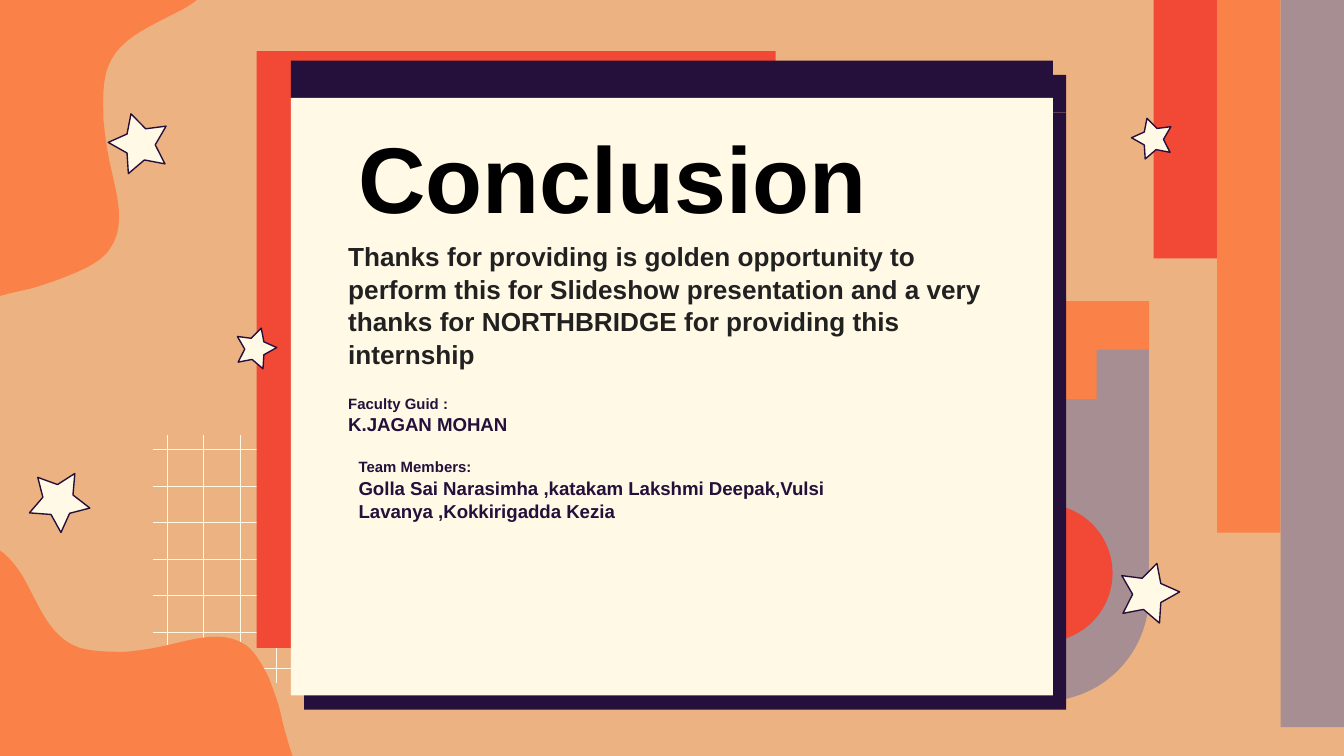
"""Build the closing slide: a framed conclusion card over a retro geometric backdrop."""
import pptx
import pptx.dml.color
import pptx.enum.shapes
import pptx.enum.text
import pptx.oxml
import pptx.oxml.ns
import pptx.util

Pt = pptx.util.Pt
RGBColor = pptx.dml.color.RGBColor
SHAPE = pptx.enum.shapes.MSO_SHAPE
ANCHOR = pptx.enum.text.MSO_ANCHOR

SAND = RGBColor(0xEC, 0xB2, 0x81)
ORANGE = RGBColor(0xFA, 0x81, 0x47)
RED = RGBColor(0xF1, 0x49, 0x36)
MAUVE = RGBColor(0xA7, 0x8E, 0x92)
CREAM = RGBColor(0xFF, 0xF9, 0xE5)
INDIGO = RGBColor(0x25, 0x10, 0x3B)
BLACK = RGBColor(0x00, 0x00, 0x00)
CHARCOAL = RGBColor(0x21, 0x21, 0x21)

presentation = pptx.Presentation()
presentation.slide_width = Pt(720)
presentation.slide_height = Pt(405)
slide = presentation.slides.add_slide(presentation.slide_layouts[6])
slide.background.fill.solid()
slide.background.fill.fore_color.rgb = SAND


def add_preset(kind, left, top, width, height, color):
    shape = slide.shapes.add_shape(kind, Pt(left), Pt(top), Pt(width), Pt(height))
    shape.shadow.inherit = False
    shape.fill.solid()
    shape.fill.fore_color.rgb = color
    shape.line.fill.background()
    return shape


def add_outline(points, color):
    corners = [(x * 100, y * 100) for x, y in points]
    builder = slide.shapes.build_freeform(*corners[0], scale=Pt(1) / 100)
    builder.add_line_segments(corners[1:], close=True)
    shape = builder.convert_to_shape()
    shape.shadow.inherit = False
    shape.fill.solid()
    shape.fill.fore_color.rgb = color
    shape.line.fill.background()
    return shape


arch = add_preset(SHAPE.ROUND_2_SAME_RECTANGLE, 502.5, 162.7, 113, 213, MAUVE)
arch.adjustments[0] = 0
arch.adjustments[1] = 0.5
add_preset(SHAPE.OVAL, 522, 270, 74, 74, RED)
stairs = [(502.5, 161.3), (615.6, 161.3), (615.6, 187.4), (587.5, 187.4), (587.5, 213.7),
          (559, 213.7), (559, 239.4), (530.6, 239.4), (530.6, 265.7), (502.5, 265.7)]
add_outline(stairs, ORANGE)

grid_lines = [(89.8 + 19.4 * i, 233.3, 89.8 + 19.4 * i, 365.8) for i in range(4)]
grid_lines += [(82.1, 240.8 + 19.55 * i, 213.8, 240.8 + 19.55 * i) for i in range(7)]
for start_x, start_y, end_x, end_y in grid_lines:
    connector = slide.shapes.add_connector(
        pptx.enum.shapes.MSO_CONNECTOR.STRAIGHT, Pt(start_x), Pt(start_y), Pt(end_x), Pt(end_y))
    connector.line.color.rgb = CREAM
    connector.line.width = Pt(0.4)
    properties = connector._element.spPr
    properties.append(pptx.oxml.parse_xml("<a:effectLst %s/>" % pptx.oxml.ns.nsdecls("a")))

add_preset(SHAPE.RECTANGLE, 137.5, 27.4, 278, 319.7, RED)

lower_blob = [
    (-12, 290), (1.4, 291.6), (10.1, 303.8), (15.8, 315.4), (22.3, 327.6), (28.1, 342),
    (42.5, 347), (50.4, 349.2), (59, 349.2), (67, 349.2), (75.6, 348.5), (84.2, 347),
    (92.9, 344.9), (105.1, 342), (120.2, 337.7), (131.8, 345.6), (136.8, 349.2),
    (141.1, 357.1), (144, 362.9), (146.9, 370.8), (149.8, 378), (151.2, 385.9),
    (153.4, 394.6), (156.2, 404.6), (159.8, 412.6)]
upper_blob = [
    (119.5, -23), (117.4, -6.5), (104.4, 2.2), (92.2, 7.9), (78.5, 15.1), (62.6, 21.6),
    (57.6, 36.7), (54.7, 45.4), (55.4, 54.7), (55.4, 63.4), (56.2, 72.7), (57.6, 82.1),
    (59.8, 91.4), (62.6, 104.4), (67.7, 121), (59, 133.2), (54.7, 139.7), (46.8, 143.3),
    (40.3, 146.2), (31.7, 149.8), (23.8, 152.6), (15.8, 154.8), (5.8, 157), (-4.3, 159.1),
    (-13, 163.4)]
STEPS = 10
for controls, corner in ((lower_blob, (-13, 412.6)), (upper_blob, (-13, -23))):
    points = [controls[0]]
    for first in range(0, len(controls) - 1, 3):
        bezier = controls[first:first + 4]
        for step in range(1, STEPS + 1):
            t = step / STEPS
            weights = ((1 - t) ** 3, 3 * t * (1 - t) ** 2, 3 * t ** 2 * (1 - t), t ** 3)
            points.append(tuple(
                sum(weight * point[axis] for weight, point in zip(weights, bezier))
                for axis in (0, 1)))
    add_outline(points + [corner], ORANGE)

for i, (bottom, color) in enumerate(((138.5, RED), (285.3, ORANGE), (389.5, MAUVE))):
    add_preset(SHAPE.RECTANGLE, 618 + 34 * i, -16.5, 34, bottom + 16.5, color)

STAR_WIDTH = 31
star = [(10.8, 32), (10.1, 21), (0, 15.3), (10.1, 10.8), (12.2, 0),
        (20.1, 8), (31, 6.6), (25.2, 16.6), (30.4, 26.8), (19.4, 24.7)]
stars = [(606.2, 63.4, 0.68, False, 0), (601, 301.8, 1, True, 0), (58, 61, 1, False, 0),
         (127.2, 175.8, 0.68, True, 0), (14.6, 252.8, 1, False, -25.3)]
for left, top, scale, mirrored, rotation in stars:
    points = [(left + scale * (STAR_WIDTH - x if mirrored else x), top + scale * y)
              for x, y in star]
    shape = add_outline(points, CREAM)
    shape.rotation = rotation
    shape.line.color.rgb = INDIGO
    shape.line.width = Pt(0.75)

for top, height, color in ((32.5, 20, INDIGO), (52.5, 320, CREAM)):
    card = add_preset(SHAPE.RECTANGLE, 155.8, top, 408.3, height, color)
    effects = card._element.spPr.find(pptx.oxml.ns.qn("a:effectLst"))
    effects.append(pptx.oxml.parse_xml(
        '<a:outerShdw %s dist="%d" dir="%d" algn="bl" rotWithShape="0"><a:srgbClr val="%s"/></a:outerShdw>'
        % (pptx.oxml.ns.nsdecls("a"), Pt(10.5), 47 * 60000, INDIGO)))

thanks = ("Thanks for providing is golden opportunity to perform this for Slideshow presentation "
          "and a very thanks for NORTHBRIDGE for providing this internship")
members = "Golla Sai Narasimha ,katakam Lakshmi Deepak,Vulsi Lavanya ,Kokkirigadda Kezia"
text_boxes = [
    ((185, 52.6, 350, 83.5), ANCHOR.MIDDLE, 1, BLACK, [("Conclusion", 50)]),
    ((179.5, 121, 371, 82), ANCHOR.TOP, 1.04, CHARCOAL, [(thanks, 14)]),
    ((179.5, 203.8, 236, 29), ANCHOR.TOP, 1.04, INDIGO,
     [("Faculty Guid :", 8), ("K.JAGAN MOHAN", 10)]),
    ((185, 237.8, 290, 45.4), ANCHOR.TOP, 1.04, INDIGO, [("Team Members:", 8), (members, 10)]),
]
for bounds, anchor, spacing, color, lines in text_boxes:
    text_frame = slide.shapes.add_textbox(*map(Pt, bounds)).text_frame
    text_frame.word_wrap = True
    text_frame.vertical_anchor = anchor
    text_frame.margin_left = text_frame.margin_right = Pt(7.2)
    text_frame.margin_top = text_frame.margin_bottom = Pt(7.2)
    paragraph = text_frame.paragraphs[0]
    paragraph.line_spacing = spacing
    for i, (words, size) in enumerate(lines):
        if i:
            paragraph.add_line_break()
        run = paragraph.add_run()
        run.text = words
        run.font.name = "Arial"
        run.font.size = Pt(size)
        run.font.bold = True
        run.font.color.rgb = color

presentation.save("out.pptx")
